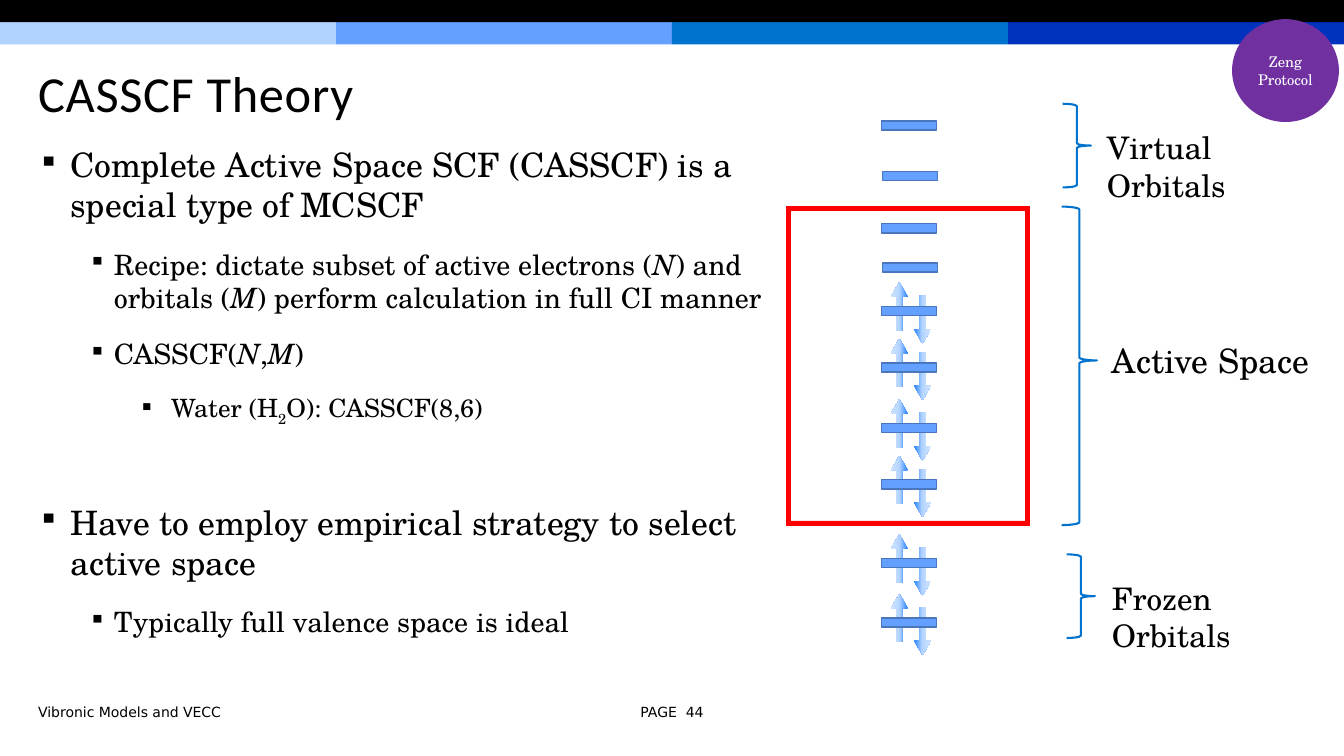
from lxml import etree
from pptx import Presentation
from pptx import util as u
from pptx.dml import color
from pptx.enum import shapes, text
from pptx.oxml import ns

SERIF = "TeX Gyre Schola"
BLACK, WHITE, RED, PURPLE = "000000", "FFFFFF", "FF0000", "7030A0"
LEVEL_BLUE, LEVEL_EDGE, BRACE_BLUE = "63A0FF", "4976BD", "0073CE"
BANDS = ["B2D3FF", "63A0FF", "0073CE", "0033BD"]
ARROW_STOPS = [(0, "2381FF"), (48, "B4D4FF"), (100, "D1E5FF")]

LEFT_X = 0.28
LEVEL_X, LEVEL_WIDTH, LEVEL_HEIGHT = 8.74, 0.55, 0.09
EMPTY_LEVELS = [(8.74, 1.2), (8.75, 1.7), (8.74, 2.22), (8.75, 2.61)]
FILLED_LEVELS = [3.04, 3.6, 4.2, 4.76, 5.54, 6.13]

# Outline level: left margin, hanging indent, text size
OUTLINE = [(0.32, 0.32, 24), (0.75, 0.25, 20), (1.32, 0.32, 18)]
# Level, space before, runs of (text, style)
BULLETS = [
    (0, 0, [("Complete Active Space SCF (CASSCF) is a special type of MCSCF", "")]),
    (1, 8, [("Recipe: dictate subset of active electrons (", ""), ("N", "italic"),
            (") and orbitals (", ""), ("M", "italic"),
            (") perform calculation in full CI manner", "")]),
    (1, 8, [("CASSCF(", ""), ("N", "italic"), (",", ""), ("M", "italic"), (")", "")]),
    (2, 8, [("Water (H", ""), ("2", "subscript"), ("O): CASSCF(8,6)", "")]),
    (0, 45.5, [("Have to employ empirical strategy to select active space", "")]),
    (1, 8, [("Typically full valence space is ideal", "")]),
]
# Brace box, brace adjustments, label position, label, label size
ORBITAL_GROUPS = [
    ((10.54, 1.03, 0.28, 0.83), (0.083, 0.5), (10.88, 1.23), "Virtual Orbitals", 22.2),
    ((10.53, 2.05, 0.35, 3.16), (0.083, 0.483), (10.93, 3.32), "Active Space", 24),
    ((10.58, 5.5, 0.28, 0.83), (0.083, 0.5), (10.93, 5.7), "Frozen Orbitals", 22.2),
]


def rgb(value):
    return color.RGBColor.from_string(value)


def set_all(target, **values):
    for name, value in values.items():
        setattr(target, name, value)


def style_font(font, size, name=SERIF, colour=BLACK):
    set_all(font, size=u.Pt(size), name=name)
    font.color.rgb = rgb(colour)


def add_shape(slide, kind, box, fill=None, line=None, width=1, adjustments=()):
    shape = slide.shapes.add_shape(kind, *map(u.Inches, box))
    shape.shadow.inherit = False
    if fill:
        shape.fill.solid()
        shape.fill.fore_color.rgb = rgb(fill)
    else:
        shape.fill.background()
    if line:
        shape.line.color.rgb = rgb(line)
        shape.line.width = u.Pt(width)
    else:
        shape.line.fill.background()
    for index, value in enumerate(adjustments):
        shape.adjustments[index] = value
    return shape


def add_text(slide, box, words, size, name=SERIF, align=text.PP_ALIGN.LEFT,
             anchor=text.MSO_ANCHOR.TOP):
    frame = slide.shapes.add_textbox(*map(u.Inches, box)).text_frame
    set_all(frame, word_wrap=True, vertical_anchor=anchor)
    paragraph = frame.paragraphs[0]
    paragraph.alignment = align
    run = paragraph.add_run()
    run.text = words
    style_font(run.font, size, name)
    return paragraph


def add_bullet(paragraph, level, before, runs):
    margin, hanging, size = OUTLINE[level]
    properties = paragraph._p.get_or_add_pPr()
    properties.set("marL", str(u.Inches(margin)))
    properties.set("indent", str(-u.Inches(hanging)))
    mark_colour = etree.SubElement(properties, ns.qn("a:buClr"))
    etree.SubElement(mark_colour, ns.qn("a:srgbClr"), val=BLACK)
    etree.SubElement(properties, ns.qn("a:buSzPct"), val="85000")
    etree.SubElement(properties, ns.qn("a:buChar"), char="▪")
    set_all(paragraph, level=level, space_before=u.Pt(before), space_after=u.Pt(8))
    for words, style in runs:
        run = paragraph.add_run()
        run.text = words
        style_font(run.font, size)
        if style == "italic":
            run.font.italic = True
        elif style == "subscript":
            run.font._element.set("baseline", "-25000")


def add_electron(slide, center_x, center_y, rotation):
    length, width = 0.48, 0.17
    box = (center_x - length / 2, center_y - width / 2, length, width)
    arrow = add_shape(slide, shapes.MSO_SHAPE.RIGHT_ARROW, box, adjustments=(0.383, 0.85))
    arrow.rotation = rotation
    # Three-stop gradient
    arrow.fill.gradient()
    gradient = arrow._element.spPr.find(ns.qn("a:gradFill"))
    stops = gradient.find(ns.qn("a:gsLst"))
    for stop in list(stops):
        stops.remove(stop)
    for position, value in ARROW_STOPS:
        stop = etree.SubElement(stops, ns.qn("a:gs"), pos=str(position * 1000))
        etree.SubElement(stop, ns.qn("a:srgbClr"), val=value)
    gradient.find(ns.qn("a:lin")).set("ang", str(270 * 60000))


def add_level(slide, left, top):
    add_shape(slide, shapes.MSO_SHAPE.RECTANGLE, (left, top, LEVEL_WIDTH, LEVEL_HEIGHT),
              LEVEL_BLUE, LEVEL_EDGE)


def add_header(slide):
    band_width = 13.33 / len(BANDS)
    for index, colour in enumerate(BANDS):
        add_shape(slide, shapes.MSO_SHAPE.RECTANGLE,
                  (index * band_width, 0.22, band_width, 0.22), colour)
    add_shape(slide, shapes.MSO_SHAPE.RECTANGLE, (0, 0, 13.33, 0.22), BLACK)
    title = add_text(slide, (LEFT_X, 0.47, 12.65, 0.98), "CASSCF Theory", 36, "Calibri",
                     anchor=text.MSO_ANCHOR.MIDDLE)
    title.line_spacing = 0.85
    title.runs[0].font._element.set("spc", "50")


def add_badge(slide):
    badge = add_shape(slide, shapes.MSO_SHAPE.OVAL, (12.22, 0.19, 1.06, 1.02), PURPLE)
    frame = badge.text_frame
    set_all(frame, word_wrap=True, margin_left=u.Inches(0.05), margin_right=u.Inches(0.05),
            vertical_anchor=text.MSO_ANCHOR.MIDDLE)
    paragraph = frame.paragraphs[0]
    paragraph.alignment = text.PP_ALIGN.CENTER
    run = paragraph.add_run()
    run.text = "Zeng Protocol"
    style_font(run.font, 10.5, colour=WHITE)


def add_outline(slide):
    box = slide.shapes.add_textbox(*map(u.Inches, (LEFT_X, 1.38, 7.62, 5.2)))
    frame = box.text_frame
    frame.word_wrap = True
    for index, bullet in enumerate(BULLETS):
        paragraph = frame.add_paragraph() if index else frame.paragraphs[0]
        add_bullet(paragraph, *bullet)


def add_orbital_diagram(slide):
    # Active space frame
    add_shape(slide, shapes.MSO_SHAPE.FRAME, (7.8, 2.05, 2.41, 3.16), RED, RED, 0.5, (0.017,))
    # Orbitals, with an electron pair on the filled ones
    for left, top in EMPTY_LEVELS:
        add_level(slide, left, top)
    for top in FILLED_LEVELS:
        add_electron(slide, 9.15, top + 0.13, 90)
        add_electron(slide, 8.92, top, 270)
        add_level(slide, LEVEL_X, top)
    # Braces and labels
    for box, adjustments, position, label, size in ORBITAL_GROUPS:
        add_shape(slide, shapes.MSO_SHAPE.RIGHT_BRACE, box, None, BRACE_BLUE, 1.5, adjustments)
        add_text(slide, (*position, 2.4, 0.56), label, size)


def add_footer(slide):
    middle = text.MSO_ANCHOR.MIDDLE
    add_text(slide, (LEFT_X, 6.93, 5.72, 0.27), "Vibronic Models and VECC", 10,
             "DejaVu Sans", anchor=middle)
    add_text(slide, (6.11, 6.93, 1.11, 0.27), "PAGE  44", 10, "DejaVu Sans",
             text.PP_ALIGN.CENTER, middle)


def main():
    presentation = Presentation()
    set_all(presentation, slide_width=u.Inches(13.33), slide_height=u.Inches(7.5))
    slide = presentation.slides.add_slide(presentation.slide_layouts[6])
    add_header(slide)
    add_outline(slide)
    add_footer(slide)
    add_badge(slide)
    add_orbital_diagram(slide)
    presentation.save("out.pptx")


if __name__ == "__main__":
    main()
